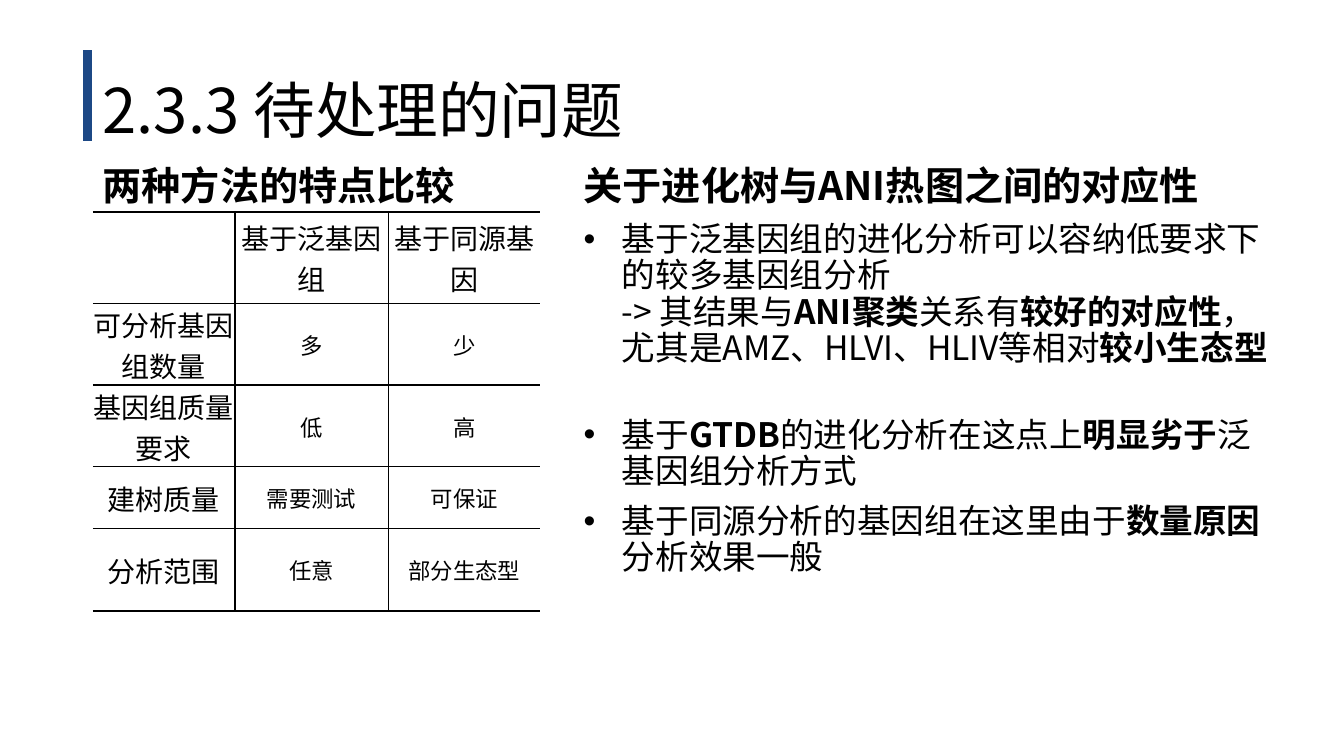
from lxml import etree
from pptx import Presentation, util as u
from pptx.dml.color import RGBColor
from pptx.enum import shapes, text
from pptx.oxml.ns import qn

FONT = "Noto Sans CJK SC"
BLACK = RGBColor(0x00, 0x00, 0x00)
WHITE = RGBColor(0xFF, 0xFF, 0xFF)
BLUE = RGBColor(0x1C, 0x48, 0x85)
WIDE, HIGH = 13.33, 7.5
LEFT = 0.92
THIN, THICK = 1, 1.5

ROWS = [
    ["", "基于泛基因组", "基于同源基因"],
    ["可分析基因组数量", "多", "少"],
    ["基因组质量要求", "低", "高"],
    ["建树质量", "需要测试", "可保证"],
    ["分析范围", "任意", "部分生态型"],
]
COLS = [1.41, 1.52, 1.51]
TALL = [0.91, 0.81, 0.81, 0.61, 0.82]

POINTS = [
    ("基于泛基因组的进化分析可以容纳低要求下的较多基因组分析\n-> 其结果与*ANI聚类*关系有"
     "*较好的对应性*，尤其是AMZ、HLVI、HLIV等相对*较小生态型*", 10),
    ("基于*GTDB*的进化分析在这点上*明显劣于*泛基因组分析方式", 36),
    ("基于同源分析的基因组在这里由于*数量原因*分析效果一般", 10),
]


def style(run, size, bold=False):
    """Give a run its font, size, weight and colour."""
    font = run.font
    font.name, font.size, font.bold = FONT, u.Pt(size), bold
    font.color.rgb = BLACK
    etree.SubElement(run._r.get_or_add_rPr(), qn("a:ea"), typeface=FONT)


def write(para, words, size, bold=False):
    """Add words to a paragraph, with starred parts switching the weight."""
    for i, part in enumerate(words.split("*")):
        for j, line in enumerate(part.split("\n")):
            if j:
                para.add_line_break()
            if line:
                run = para.add_run()
                run.text = line
                style(run, size, bold != (i % 2 == 1))


def add_box(slide, box, words, size, bold=False, anchor=text.MSO_ANCHOR.TOP):
    """Add a wrapped text box holding one line and return its frame."""
    frame = slide.shapes.add_textbox(*map(u.Inches, box)).text_frame
    frame.word_wrap = True
    frame.vertical_anchor = anchor
    para = frame.paragraphs[0]
    para.line_spacing = 0.9
    write(para, words, size, bold)
    return frame


def add_title(slide, box):
    """Add the title with the blue bar at its left."""
    x, y, _, _ = box
    x, y = x - 0.05, y + 0.1
    bar = slide.shapes.add_connector(
        shapes.MSO_CONNECTOR.STRAIGHT,
        *map(u.Inches, (x, y, x, y + 0.9)))
    bar.line.color.rgb = BLUE
    bar.line.width = u.Pt(6)
    etree.SubElement(bar._element.spPr, qn("a:effectLst"))
    add_box(slide, box, "2.3.3 待处理的问题", 44, anchor=text.MSO_ANCHOR.MIDDLE)


def add_edge(cell, side, width):
    """Draw one side of a cell, or clear it when the width is zero."""
    props = cell._tc.get_or_add_tcPr()
    line = etree.SubElement(props, qn("a:ln" + side), w=str(u.Pt(width)))
    if width:
        fill = etree.SubElement(line, qn("a:solidFill"))
        etree.SubElement(fill, qn("a:srgbClr"), val=str(BLACK))
    else:
        etree.SubElement(line, qn("a:noFill"))


def add_grid(slide, box):
    """Add the comparison table, open at its left and right."""
    grid = slide.shapes.add_table(
        len(ROWS), len(COLS), *map(u.Inches, box)).table
    grid.first_row = grid.horz_banding = False
    for col, wide in zip(grid.columns, COLS):
        col.width = u.Inches(wide)
    for row, tall in zip(grid.rows, TALL):
        row.height = u.Inches(tall)
    for r, row in enumerate(ROWS):
        for c, words in enumerate(row):
            cell = grid.cell(r, c)
            edges = {"L": THIN if c else 0,
                     "R": THIN if c < len(COLS) - 1 else 0,
                     "T": THIN if r else THICK,
                     "B": THIN if r < len(ROWS) - 1 else THICK}
            for side, width in edges.items():
                add_edge(cell, side, width)
            cell.fill.solid()
            cell.fill.fore_color.rgb = WHITE
            cell.vertical_anchor = text.MSO_ANCHOR.MIDDLE
            cell.margin_left = cell.margin_right = 0
            cell.margin_top, cell.margin_bottom = u.Inches(0.01), 0
            para = cell.text_frame.paragraphs[0]
            para.alignment = text.PP_ALIGN.CENTER
            write(para, words, 16 if r and c else 20)


def add_notes(slide, box):
    """Add the right heading with its bullets."""
    frame = add_box(slide, box, "关于进化树与ANI热图之间的对应性", 28, True)
    for words, gap in POINTS:
        para = frame.add_paragraph()
        para.line_spacing, para.space_before = 0.9, u.Pt(gap)
        props = para._p.get_or_add_pPr()
        props.set("marL", str(u.Inches(0.38)))
        props.set("indent", str(-u.Inches(0.38)))
        etree.SubElement(props, qn("a:buFont"), typeface="Arial")
        etree.SubElement(props, qn("a:buChar"), char="•")
        write(para, words, 24)


def main():
    """Build the slide and save it."""
    deck = Presentation()
    deck.slide_width, deck.slide_height = u.Inches(WIDE), u.Inches(HIGH)
    slide = deck.slides.add_slide(deck.slide_layouts[6])
    add_title(slide, (LEFT, 0.4, 11.5, 1.45))
    add_box(slide, (LEFT, 1.6, 5.67, 0.63), "两种方法的特点比较", 28, True)
    add_notes(slide, (5.69, 1.6, 7.09, 5.5))
    add_grid(slide, (LEFT, 2.1, sum(COLS), sum(TALL)))
    deck.save("out.pptx")


if __name__ == "__main__":
    main()
